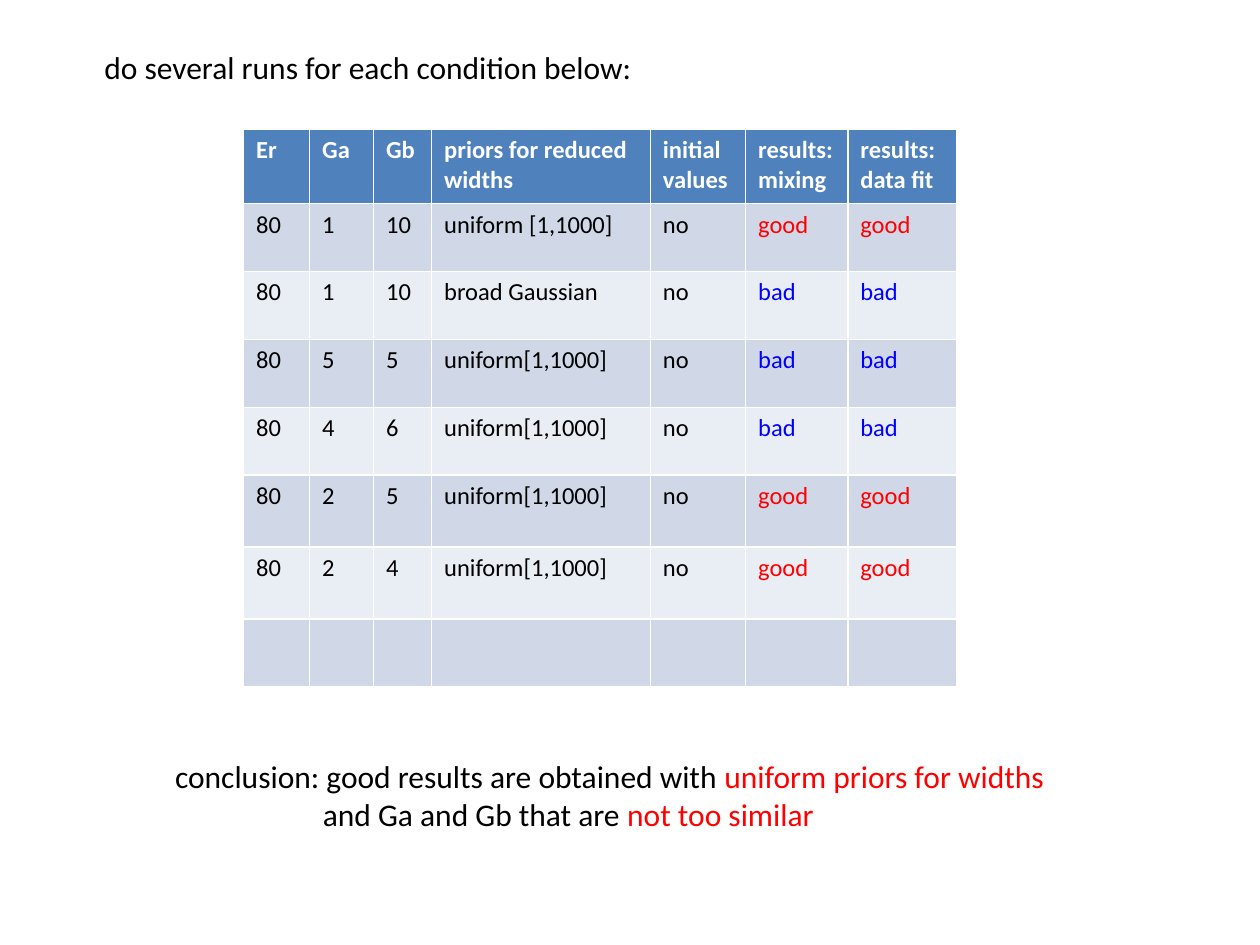
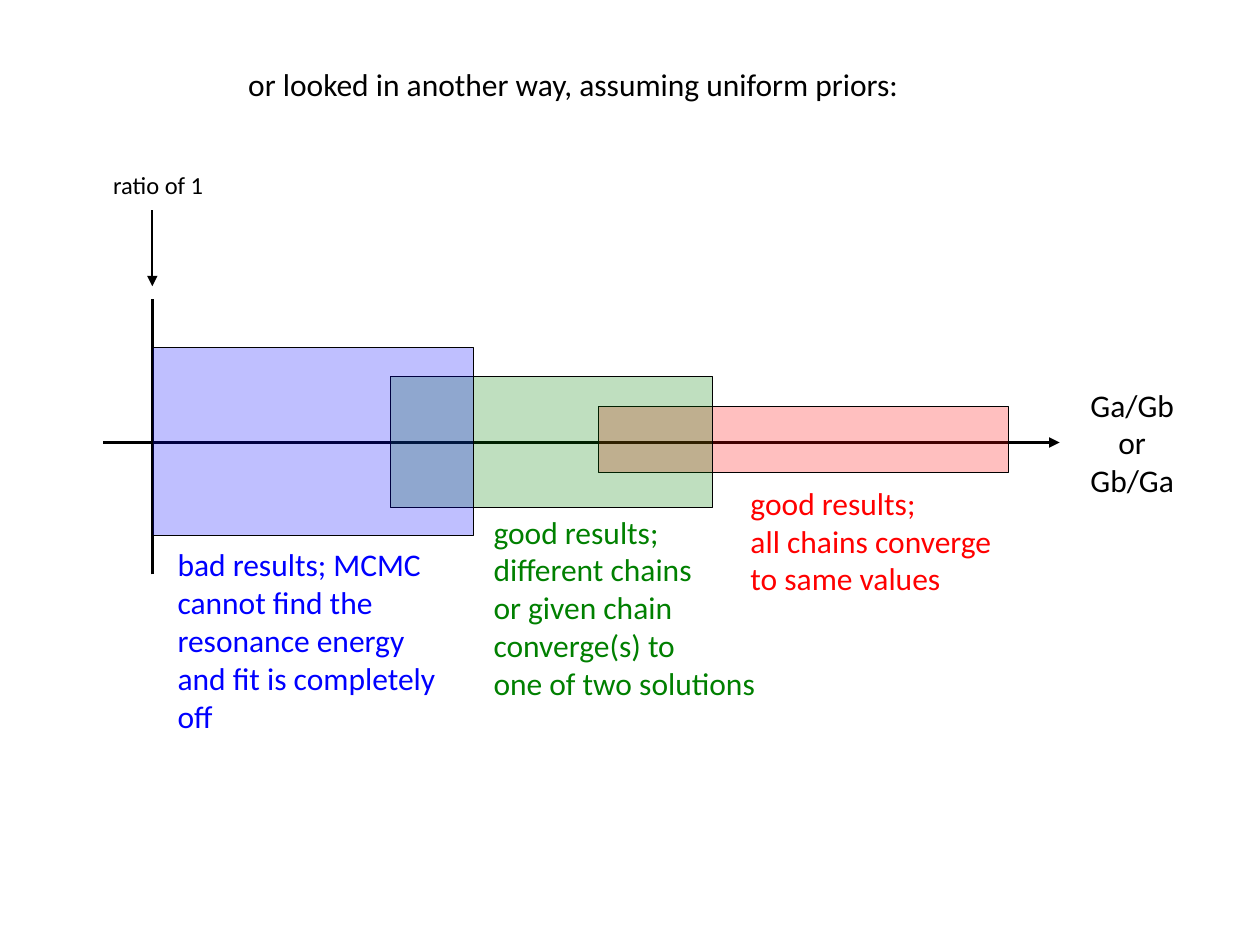
from dataclasses import dataclass
from typing import NamedTuple

from lxml import etree
from pptx import Presentation
from pptx import util as u
from pptx.dml.color import RGBColor
from pptx.enum import shapes, text
from pptx.oxml import ns


@dataclass(frozen=True)
class Theme:
    font: str = "Calibri"
    large: int = 18
    small: int = 14
    black: str = "000000"
    white: str = "FFFFFF"
    red: str = "FF0000"
    green: str = "008000"
    blue: str = "0000FF"
    head: str = "4F81BD"
    bands: tuple[str, str] = ("D0D8E8", "E9EDF4")
    alpha: int = 25


THEME = Theme()


class Box(NamedTuple):
    """Left, top, width and height in centimetres."""
    left: float
    top: float
    width: float
    height: float


class Note(NamedTuple):
    box: Box
    lines: tuple[str, ...]
    color: str = THEME.black
    size: int = THEME.large
    align: text.PP_ALIGN = text.PP_ALIGN.LEFT


class Zone(NamedTuple):
    box: Box
    color: str


class Line(NamedTuple):
    start: tuple[float, float]
    end: tuple[float, float]
    width: float
    arrow: bool = False


COLS = (1.33, 1.29, 1.17, 4.41, 1.92, 2.06, 2.2)
ROWS = (1.5, 1.37, 1.37, 1.37, 1.37, 1.45, 1.45, 1.37)
HEADS = ("Er", "Ga", "Gb", "priors for reduced widths", "initial values",
         "results: mixing", "results:\ndata fit")
RUNS = (
    (1, 10, "uniform [1,1000]", "good"),
    (1, 10, "broad Gaussian", "bad"),
    (5, 5, "uniform[1,1000]", "bad"),
    (4, 6, "uniform[1,1000]", "bad"),
    (2, 5, "uniform[1,1000]", "good"),
    (2, 4, "uniform[1,1000]", "good"),
)
MARKS = {"good": THEME.red, "bad": THEME.blue}

ENDING = (
    ("conclusion: good results are obtained with ", "uniform priors for widths"),
    ("and Ga and Gb that are ", "not too similar"),
)

AXIS_Y = 8.92
ONE_X = 3.07
AXES = (
    Line((2.08, AXIS_Y), (21.36, AXIS_Y), 2, arrow=True),
    Line((ONE_X, 11.58), (ONE_X, 6.02), 2),
)
ZONES = (
    Zone(Box(12.07, 8.2, 8.26, 1.32), THEME.red),
    Zone(Box(7.87, 7.59, 6.5, 2.64), THEME.green),
    Zone(Box(ONE_X, 7.01, 6.48, 3.78), THEME.blue),
)
POINTER = Line((ONE_X, 4.24), (ONE_X, 5.77), 1, arrow=True)
NOTES = (
    Note(Box(21.72, 7.65, 2.21, 2.57), ("Ga/Gb", "or", "Gb/Ga"),
         align=text.PP_ALIGN.CENTER),
    Note(Box(14.88, 9.63, 5.46, 2.57),
         ("good results;", "all chains converge", "to same values"), THEME.red),
    Note(Box(9.7, 10.21, 5.87, 4.11),
         ("good results;", "different chains", "or given chain",
          "converge(s) to", "one of two solutions"), THEME.green),
    Note(Box(3.33, 10.87, 5.79, 4.11),
         ("bad results; MCMC", "cannot find the", "resonance energy",
          "and fit is completely", "off"), THEME.blue),
    Note(Box(2.03, 3.3, 2.36, 0.86), ("ratio of 1",), size=THEME.small),
)


def cms(box: Box) -> list[u.Cm]:
    return [u.Cm(side) for side in box]


def rgb(color: str) -> RGBColor:
    return RGBColor.from_string(color)


def style(frame, color: str, size: int, bold: bool = False) -> None:
    """Give every paragraph of a text frame the same font."""
    for para in frame.paragraphs:
        font = para.font
        font.name, font.size, font.bold = THEME.font, u.Pt(size), bold
        font.color.rgb = rgb(color)


def add_page(deck, title: str, box: Box):
    """Add a title-only slide whose title is a plain line of text."""
    page = deck.slides.add_slide(deck.slide_layouts[5])
    shape = page.shapes.title
    shape.left, shape.top, shape.width, shape.height = cms(box)
    frame = shape.text_frame
    frame.text = title
    frame.word_wrap = False
    frame.auto_size = text.MSO_AUTO_SIZE.NONE
    frame.vertical_anchor = text.MSO_ANCHOR.TOP
    frame.paragraphs[0].alignment = text.PP_ALIGN.LEFT
    style(frame, THEME.black, THEME.large)
    return page


def add_note(page, note: Note) -> None:
    frame = page.shapes.add_textbox(*cms(note.box)).text_frame
    frame.word_wrap = False
    frame.text = "\n".join(note.lines)
    for para in frame.paragraphs:
        para.alignment = note.align
    style(frame, note.color, note.size)


def add_zone(page, zone: Zone) -> None:
    shape = page.shapes.add_shape(shapes.MSO_SHAPE.RECTANGLE, *cms(zone.box))
    shape.shadow.inherit = False
    shape.fill.solid()
    shape.fill.fore_color.rgb = rgb(zone.color)
    tint = shape.fill._xPr.find(".//" + ns.qn("a:srgbClr"))
    etree.SubElement(tint, ns.qn("a:alpha"), val=str(THEME.alpha * 1000))
    shape.line.color.rgb = rgb(THEME.black)
    shape.line.width = u.Pt(0.75)


def add_line(page, line: Line) -> None:
    ends = [u.Cm(n) for n in line.start + line.end]
    shape = page.shapes.add_connector(shapes.MSO_CONNECTOR.STRAIGHT, *ends)
    shape.line.color.rgb = rgb(THEME.black)
    shape.line.width = u.Pt(line.width)
    if line.arrow:
        stroke = shape.line._get_or_add_ln()
        etree.SubElement(stroke, ns.qn("a:tailEnd"), type="triangle")
    etree.SubElement(shape._element.spPr, ns.qn("a:effectLst"))


def add_grid(page) -> None:
    """Draw the table of runs, with one spare row at its foot."""
    box = Box(4.91, 2.6, sum(COLS), sum(ROWS))
    grid = page.shapes.add_table(len(ROWS), len(COLS), *cms(box)).table
    for col, width in zip(grid.columns, COLS):
        col.width = u.Cm(width)
    body = [("80", str(ga), str(gb), prior, "no", mark, mark)
            for ga, gb, prior, mark in RUNS]
    data = [HEADS, *body, ("",) * len(COLS)]
    for i, (row, height, words) in enumerate(zip(grid.rows, ROWS, data)):
        row.height = u.Cm(height)
        top = i == 0
        for cell, word in zip(row.cells, words):
            cell.fill.solid()
            cell.fill.fore_color.rgb = rgb(THEME.head if top else THEME.bands[(i - 1) % 2])
            cell.text = word
            color = THEME.white if top else MARKS.get(word, THEME.black)
            style(cell.text_frame, color, THEME.small, bold=top)


def add_ending(page) -> None:
    """Write the conclusion, its second line indented, key words in red."""
    frame = page.shapes.add_textbox(*cms(Box(3.28, 15.14, 18.29, 1.8))).text_frame
    frame.word_wrap = False
    second = frame.add_paragraph()
    second._p.get_or_add_pPr().set("marL", str(u.Cm(2.98)))
    for para, words in zip(frame.paragraphs, ENDING):
        para.font.name, para.font.size = THEME.font, u.Pt(THEME.large)
        for word, color in zip(words, (THEME.black, THEME.red)):
            run = para.add_run()
            run.text = word
            run.font.color.rgb = rgb(color)


def add_ratios(page) -> None:
    """Draw the ratio axis with its three overlapping zones."""
    for line in AXES:
        add_line(page, line)
    for zone in ZONES:
        add_zone(page, zone)
    add_line(page, POINTER)
    for note in NOTES:
        add_note(page, note)


def main() -> None:
    deck = Presentation()
    deck.slide_width, deck.slide_height = u.Cm(25.4), u.Cm(19.05)

    page = add_page(deck, "do several runs for each condition below:",
                    Box(1.85, 0.84, 11.28, 1.02))
    add_grid(page)
    add_ending(page)

    page = add_page(deck, "or looked in another way, assuming uniform priors:",
                    Box(4.75, 1.19, 13.87, 1.02))
    add_ratios(page)

    deck.save("out.pptx")


if __name__ == "__main__":
    main()
